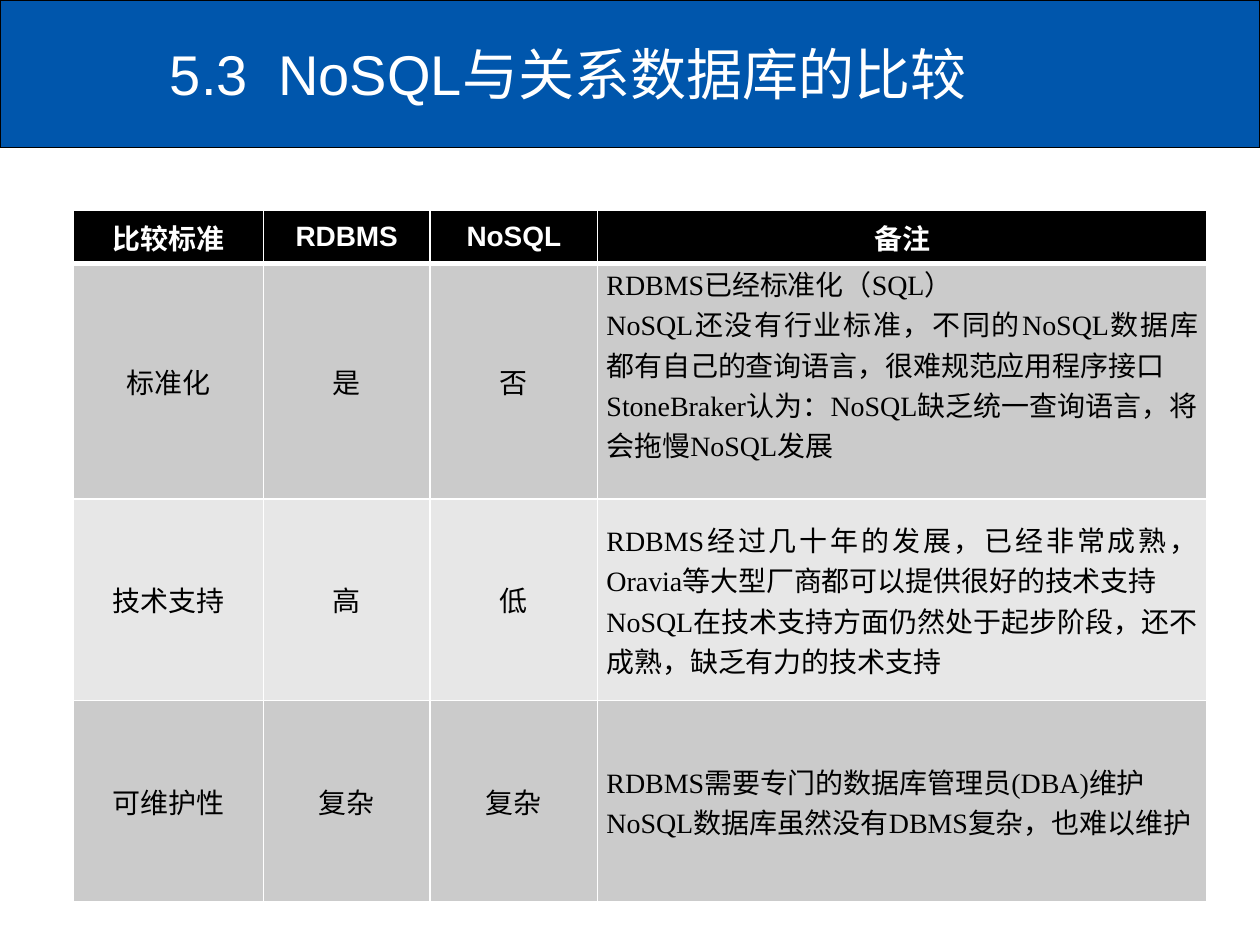
import dataclasses
import pptx
import pptx.util
import pptx.dml.color
import pptx.enum.shapes
import pptx.enum.text
import pptx.oxml.ns
from lxml import etree

Inches = pptx.util.Inches
Pt = pptx.util.Pt
Align = pptx.enum.text.PP_ALIGN
Anchor = pptx.enum.text.MSO_ANCHOR
qn = pptx.oxml.ns.qn


@dataclasses.dataclass(frozen=True)
class Theme:
    blue: str = "0056AC"
    black: str = "000000"
    white: str = "FFFFFF"
    dark: str = "CBCBCB"
    light: str = "E7E7E7"
    sans: str = "Arial"
    serif: str = "Times New Roman"
    title: int = 32
    body: int = 16


THEME = Theme()
HEAD = ["比较标准", "RDBMS", "NoSQL", "备注"]
ROWS = [
    ["标准化", "是", "否",
     "RDBMS已经标准化（SQL）\n"
     "NoSQL还没有行业标准，不同的NoSQL数据库都有自己的查询语言，很难规范应用程序接口\n"
     "StoneBraker认为：NoSQL缺乏统一查询语言，将会拖慢NoSQL发展"],
    ["技术支持", "高", "低",
     "RDBMS经过几十年的发展，已经非常成熟，Oravia等大型厂商都可以提供很好的技术支持\n"
     "NoSQL在技术支持方面仍然处于起步阶段，还不成熟，缺乏有力的技术支持"],
    ["可维护性", "复杂", "复杂",
     "RDBMS需要专门的数据库管理员(DBA)维护\n"
     "NoSQL数据库虽然没有DBMS复杂，也难以维护"],
]
WIDTHS = [1.51, 1.32, 1.33, 4.83]
HEIGHTS = [0.42, 1.87, 1.6, 1.6]


def rgb(code):
    return pptx.dml.color.RGBColor.from_string(code)


def style(para, name, size, color, bold=False):
    font = para.font
    font.name, font.size, font.bold = name, Pt(size), bold
    font.color.rgb = rgb(color)


def add_tab(para, pos):
    tabs = etree.SubElement(para._p.get_or_add_pPr(), qn("a:tabLst"))
    etree.SubElement(tabs, qn("a:tab"), pos=str(pos), algn="l")


def draw_edge(cell, side, width):
    props = cell._tc.get_or_add_tcPr()
    line = etree.SubElement(props, qn("a:ln" + side), w=str(Pt(width)))
    fill = etree.SubElement(line, qn("a:solidFill"))
    etree.SubElement(fill, qn("a:srgbClr"), val=THEME.white)


def add_banner(slide, left, top, width, height):
    bar = slide.shapes.add_shape(
        pptx.enum.shapes.MSO_SHAPE.RECTANGLE, left, top, width, height)
    bar.shadow.inherit = False
    bar.fill.solid()
    bar.fill.fore_color.rgb = rgb(THEME.blue)
    bar.line.color.rgb = rgb(THEME.black)
    bar.line.width = Pt(0.75)
    inset = Inches(1.25)
    box = slide.shapes.add_textbox(
        left + inset, top + Inches(0.08), width - inset, Inches(1))
    frame = box.text_frame
    frame.word_wrap = True
    frame.vertical_anchor = Anchor.MIDDLE
    para = frame.paragraphs[0]
    para.text = "5.3\tNoSQL与关系数据库的比较"
    add_tab(para, Inches(0.86))
    style(para, THEME.sans, THEME.title, THEME.white)


def fill_cell(cell, text, row, col):
    head, note = row == 0, col == len(HEAD) - 1
    for side in "LRTB":
        thick = (row, side) in ((0, "B"), (1, "T"))
        draw_edge(cell, side, 3 if thick else 1)
    cell.fill.solid()
    band = THEME.dark if row % 2 else THEME.light
    cell.fill.fore_color.rgb = rgb(THEME.black if head else band)
    cell.margin_left = cell.margin_right = Inches(0.07)
    cell.margin_top = cell.margin_bottom = 0
    cell.vertical_anchor = Anchor.TOP if note and row == 1 else Anchor.MIDDLE
    cell.text = text
    for para in cell.text_frame.paragraphs:
        para.alignment = Align.JUSTIFY if note and not head else Align.CENTER
        style(para, THEME.sans if head else THEME.serif, THEME.body,
              THEME.white if head else THEME.black, head)


def add_grid(slide, left, top, width, height):
    data = [HEAD] + ROWS
    table = slide.shapes.add_table(
        len(data), len(HEAD), left, top, width, height).table
    for col, size in zip(table.columns, WIDTHS):
        col.width = int(width * size / sum(WIDTHS))
    for row, size in zip(table.rows, HEIGHTS):
        row.height = int(height * size / sum(HEIGHTS))
    for r, texts in enumerate(data):
        for c, text in enumerate(texts):
            fill_cell(table.cell(r, c), text, r, c)


def main():
    deck = pptx.Presentation()
    deck.slide_width, deck.slide_height = Inches(10), Inches(7.5)
    slide = deck.slides.add_slide(deck.slide_layouts[6])
    add_banner(slide, 0, 0, deck.slide_width, Inches(1.17))
    add_grid(slide, Inches(0.58), Inches(1.67), Inches(9), Inches(5.49))
    deck.save("out.pptx")


if __name__ == "__main__":
    main()
